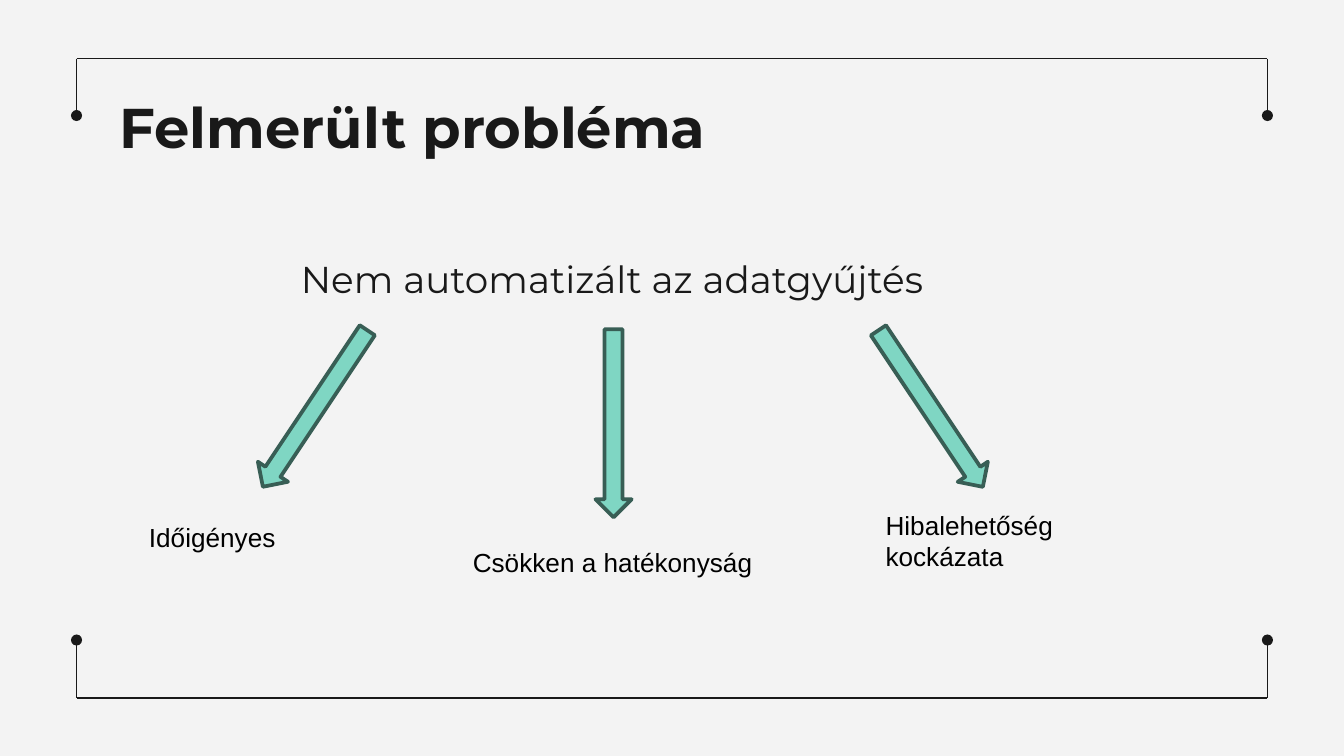
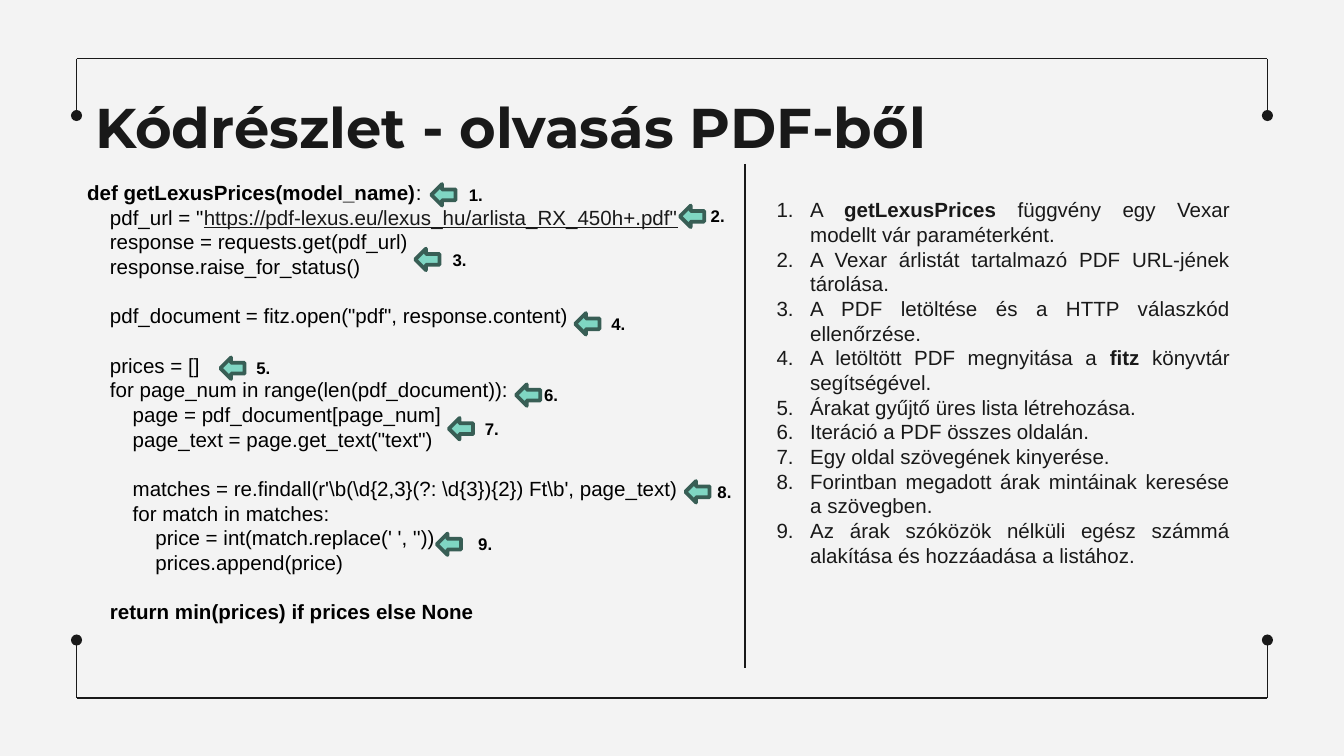
from dataclasses import dataclass

import pptx
import pptx.dml.color
import pptx.enum.shapes
import pptx.enum.text
import pptx.oxml
import pptx.oxml.ns
import pptx.util

Pt = pptx.util.Pt
SHAPE = pptx.enum.shapes.MSO_SHAPE
ALIGN = pptx.enum.text.PP_ALIGN


@dataclass(frozen=True)
class Theme:
    paper: str = "F3F3F3"
    ink: str = "191919"
    black: str = "000000"
    arrow_fill: str = "7FD6C3"
    arrow_edge: str = "385E55"
    heading_font: str = "Montserrat"
    body_font: str = "Arial"
    title_size: float = 30
    statement_size: float = 20
    label_size: float = 14
    body_size: float = 11
    marker_size: float = 9
    line_height: float = 1.2


THEME = Theme()
TITLE = {"name": THEME.heading_font, "size": THEME.title_size, "bold": True, "color": THEME.ink}
STATEMENT = {"name": THEME.heading_font, "size": THEME.statement_size, "color": THEME.ink}
LABEL = {"name": THEME.body_font, "size": THEME.label_size, "color": THEME.black}
CODE = {**LABEL, "size": THEME.body_size}
STEP = {**CODE, "color": THEME.ink}
MARKER = {**LABEL, "size": THEME.marker_size, "bold": True}
BOLD = {"bold": True}
LINK = {"underline": True, "color": THEME.ink}

CODE_BLOCKS = [
    [
        [("def getLexusPrices(model_name)", BOLD), (":", {})],
        [('    pdf_url = "', {}),
         ('https://pdf-lexus.eu/lexus_hu/arlista_RX_450h+.pdf"', LINK)],
        "    response = requests.get(pdf_url)",
        "    response.raise_for_status()",
    ],
    ['    pdf_document = fitz.open("pdf", response.content)'],
    [
        "    prices = []",
        "    for page_num in range(len(pdf_document)):",
        "        page = pdf_document[page_num]",
        '        page_text = page.get_text("text")',
    ],
    [
        r"        matches = re.findall(r'\b(\d{2,3}(?: \d{3}){2}) Ft\b', page_text)",
        "        for match in matches:",
        "            price = int(match.replace(' ', ''))",
        "            prices.append(price)",
    ],
    [[("    return min(prices) if prices else None", BOLD)]],
]

STEPS = [
    [("A ", {}), ("getLexusPrices", BOLD),
     (" függvény egy Vexar modellt vár paraméterként.", {})],
    "A Vexar árlistát tartalmazó PDF URL-jének tárolása.",
    "A PDF letöltése és a HTTP válaszkód ellenőrzése.",
    [("A letöltött PDF megnyitása a ", {}), ("fitz", BOLD), (" könyvtár segítségével.", {})],
    "Árakat gyűjtő üres lista létrehozása.",
    "Iteráció a PDF összes oldalán.",
    "Egy oldal szövegének kinyerése.",
    "Forintban megadott árak mintáinak keresése a szövegben.",
    "Az árak szóközök nélküli egész számmá alakítása és hozzáadása a listához.",
]

# Arrow left, arrow top, number left; in the order of the steps
MARKERS = [
    (231.8, 97.9, 244.1),
    (365, 109.4, 373.7),
    (223.2, 132.5, 235.4),
    (308.9, 167, 320.4),
    (118.8, 190.8, 130.3),
    (277.2, 205.2, 284.4),
    (241.2, 223.2, 252.7),
    (367.9, 257, 377.3),
    (234.7, 285.1, 249.1),
]


def rgb(value):
    return pptx.dml.color.RGBColor.from_string(value)


def set_font(font, values):
    for key, value in values.items():
        if key == "color":
            font.color.rgb = rgb(value)
        else:
            setattr(font, key, Pt(value) if key == "size" else value)


def add_text(page, area, paragraphs, style, inset=7.2):
    """Add a text box; a paragraph is a string or a list of (text, format)."""
    box = page.shapes.add_textbox(*(Pt(length) for length in area))
    frame = box.text_frame
    frame.word_wrap = True
    frame.margin_top = frame.margin_bottom = Pt(inset)
    for index, content in enumerate(paragraphs):
        para = frame.paragraphs[0] if index == 0 else frame.add_paragraph()
        if style["name"] == THEME.body_font:
            para.line_spacing = Pt(style["size"] * THEME.line_height)
        for text, extra in [(content, {})] if isinstance(content, str) else content:
            span = para.add_run()
            span.text = text
            set_font(span.font, {**style, **extra})
    return frame


def number_paragraph(para):
    properties = para._p.get_or_add_pPr()
    properties.set("marL", str(Pt(30.24)))
    properties.set("indent", str(-Pt(18)))
    namespace = pptx.oxml.ns.nsdecls("a")
    for xml in (
        f'<a:buClr {namespace}><a:srgbClr val="{THEME.ink}"/></a:buClr>',
        f'<a:buFont {namespace} typeface="{THEME.body_font}"/>',
        f'<a:buAutoNum {namespace} type="arabicPeriod"/>',
    ):
        properties.append(pptx.oxml.parse_xml(xml))
    para.alignment = ALIGN.JUSTIFY


def add_line(page, start, end, width=0.75, dot=False):
    line = page.shapes.add_connector(
        pptx.enum.shapes.MSO_CONNECTOR.STRAIGHT, *(Pt(value) for value in start + end))
    line.line.color.rgb = rgb(THEME.ink)
    line.line.width = Pt(width)
    namespace = pptx.oxml.ns.nsdecls("a")
    if dot:
        line.line._get_or_add_ln().append(
            pptx.oxml.parse_xml(f'<a:tailEnd {namespace} type="oval"/>'))
    line._element.spPr.append(pptx.oxml.parse_xml(f"<a:effectLst {namespace}/>"))


def add_arrow(page, area, rotation):
    arrow = page.shapes.add_shape(SHAPE.DOWN_ARROW, *(Pt(length) for length in area))
    arrow.rotation = rotation
    arrow.shadow.inherit = False
    arrow.fill.solid()
    arrow.fill.fore_color.rgb = rgb(THEME.arrow_fill)
    arrow.line.color.rgb = rgb(THEME.arrow_edge)
    arrow.line.width = Pt(2)


def add_page(deck, title, title_left):
    """Start a page with the shared background, bracket frame and title."""
    page = deck.slides.add_slide(deck.slide_layouts[6])
    page.background.fill.solid()
    page.background.fill.fore_color.rgb = rgb(THEME.paper)
    left, right = 41, 679
    for edge, tip in ((31.4, 61.9), (373.9, 342.9)):
        add_line(page, (left, edge), (right, edge))
        for side in (left, right):
            add_line(page, (side, edge), (side, tip), dot=True)
    add_text(page, (title_left, 42.5, 607, 45.4), [title], TITLE)
    return page


def build_problem(deck):
    page = add_page(deck, "Felmerült probléma", 56.9)
    add_text(page, (154.1, 130.3, 428.4, 43.2), ["Nem automatizált az adatgyűjtés"], STATEMENT)

    # Arrows to the three consequences
    for left, top, rotation in ((159.1, 168.5, 33.7), (319, 176.4, 0), (488.9, 168.5, 326.3)):
        add_arrow(page, (left, top, 19.4, 100.8), rotation)
    for text, area in (
        ("Időigényes", (72.7, 275.8, 95.8, 28.8)),
        ("Csökken a hatékonyság", (246.2, 289.4, 187.9, 28.8)),
        ("Hibalehetőség kockázata", (467.3, 269.3, 135.4, 41)),
    ):
        add_text(page, area, [text], LABEL, inset=3.6)


def build_code(deck):
    page = add_page(deck, "Kódrészlet - olvasás PDF-ből", 43.9)
    add_line(page, (399, 87.8), (399, 357.8), width=1)

    # Code, with one line of space before each later block
    lines = [line for block in CODE_BLOCKS for line in block]
    frame = add_text(page, (39.6, 89.3, 333.4, 260), lines, CODE)
    first = 0
    for block in CODE_BLOCKS[:-1]:
        first += len(block)
        frame.paragraphs[first].space_before = Pt(THEME.body_size * THEME.line_height)

    # Numbered explanation
    steps = add_text(page, (396.7, 98.6, 269.3, 213), STEPS, STEP)
    for para in steps.paragraphs:
        number_paragraph(para)

    # Numbered arrows beside the code
    for number, (left, top, number_left) in enumerate(MARKERS, 1):
        add_arrow(page, (left, top, 11.5, 13), 90)
        add_text(page, (number_left, top - 2.5, 23.8, 18), [f"{number}."], MARKER, inset=3.6)


def main():
    deck = pptx.Presentation()
    deck.slide_width, deck.slide_height = Pt(720), Pt(405)
    build_problem(deck)
    build_code(deck)
    deck.save("out.pptx")


if __name__ == "__main__":
    main()
